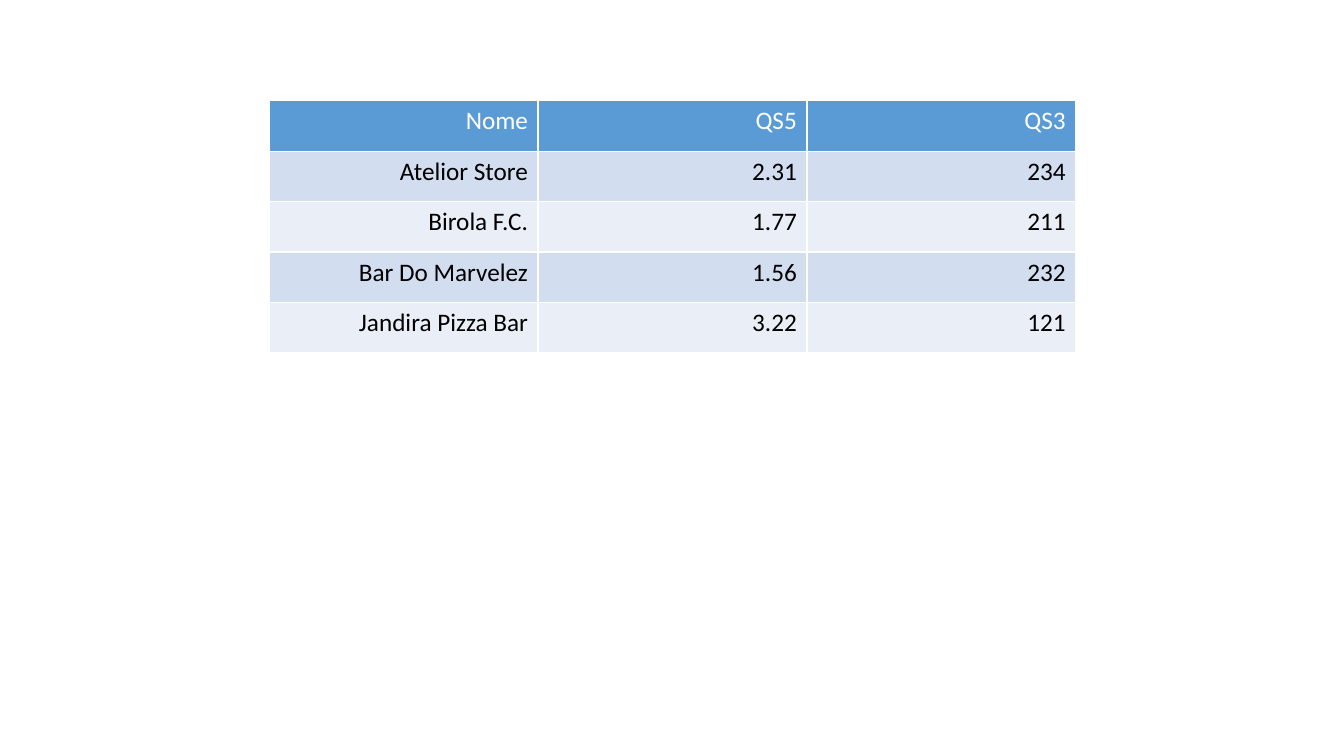
from dataclasses import dataclass

from pptx import Presentation
from pptx.dml.color import RGBColor
from pptx.enum.text import PP_ALIGN
from pptx.util import Inches, Pt


@dataclass(frozen=True)
class Theme:
    font: str = "Calibri"
    size: int = 18
    header_fill: str = "5B9BD5"
    header_text: str = "FFFFFF"
    body_text: str = "000000"
    bands: tuple = ("D2DEEF", "EAEFF7")


THEME = Theme()

SCORES = [
    ("Nome", "QS5", "QS3"),
    ("Atelior Store", "2.31", "234"),
    ("Birola F.C.", "1.77", "211"),
    ("Bar Do Marvelez", "1.56", "232"),
    ("Jandira Pizza Bar", "3.22", "121"),
]


def fill_cell(cell, text, fill, color):
    cell.fill.solid()
    cell.fill.fore_color.rgb = RGBColor.from_string(fill)
    para = cell.text_frame.paragraphs[0]
    para.text = text
    para.alignment = PP_ALIGN.RIGHT
    para.font.name = THEME.font
    para.font.size = Pt(THEME.size)
    para.font.bold = False
    para.font.color.rgb = RGBColor.from_string(color)


def add_score_table(page, left, top, width, height):
    """Place the table in the box; its default style draws the white grid."""
    table = page.shapes.add_table(
        len(SCORES), len(SCORES[0]), left, top, width, height
    ).table
    for row_index, values in enumerate(SCORES):
        if row_index == 0:
            fill, color = THEME.header_fill, THEME.header_text
        else:
            fill, color = THEME.bands[(row_index - 1) % 2], THEME.body_text
        for column_index, text in enumerate(values):
            fill_cell(table.cell(row_index, column_index), text, fill, color)


def main():
    deck = Presentation()
    deck.slide_width, deck.slide_height = Inches(13.33), Inches(7.5)
    page = deck.slides.add_slide(deck.slide_layouts[6])
    add_score_table(page, Inches(2.67), Inches(1), Inches(8), Inches(2.5))
    deck.save("out.pptx")


if __name__ == "__main__":
    main()
